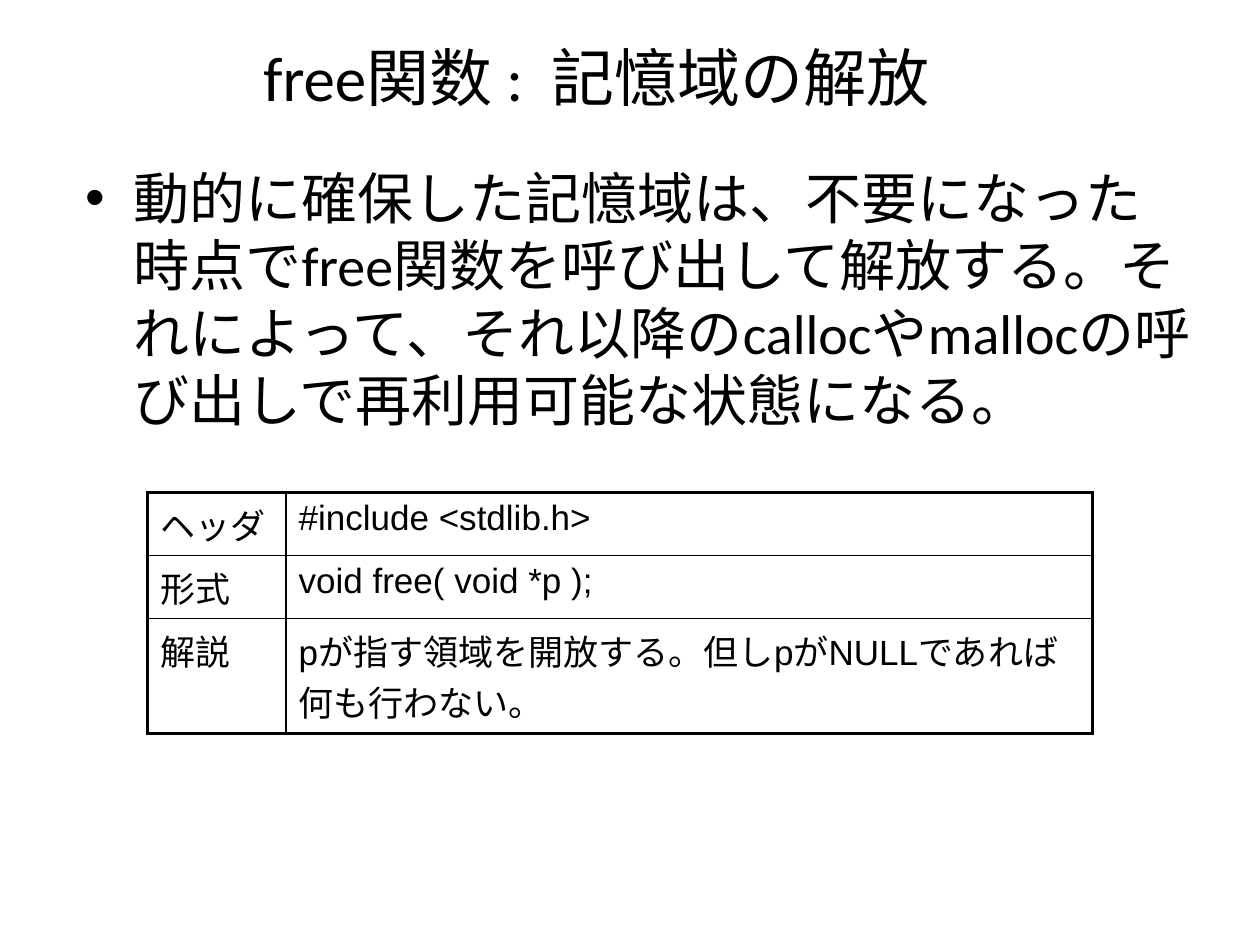
from lxml import etree
from pptx import Presentation
from pptx import util as u
from pptx.dml.color import RGBColor
from pptx.enum import text
from pptx.oxml.ns import qn

COLORS = {"ink": "000000", "paper": "FFFFFF"}
THICK, THIN = 2.25, 1

TITLE = "free関数 :  記憶域の解放"
SUMMARY = ("動的に確保した記憶域は、不要になった時点でfree関数を呼び出して解放する。"
           "それによって、それ以降のcallocやmallocの呼び出しで再利用可能な状態になる。")
REFERENCE = [
    ("ヘッダ", "#include <stdlib.h>"),
    ("形式", "void free( void *p );"),
    ("解説", "pが指す領域を開放する。但しpがNULLであれば何も行わない。"),
]
COLUMN_WIDTHS = (1.1, 6.4)
ROW_HEIGHTS = (0.5, 0.5, 0.91)


def color(key):
    return RGBColor.from_string(COLORS[key])


def style(paragraph, size, face):
    font = paragraph.font
    font.size, font.name = u.Pt(size), face
    font.color.rgb = color("ink")


def add_title(slide):
    title = slide.shapes.title
    title.left, title.top = u.Inches(0.57), u.Inches(0.23)
    title.width, title.height = u.Inches(8.33), u.Inches(0.75)
    frame = title.text_frame
    frame.text = TITLE
    frame.auto_size = text.MSO_AUTO_SIZE.NONE
    frame.vertical_anchor = text.MSO_ANCHOR.MIDDLE
    heading = frame.paragraphs[0]
    heading.alignment = text.PP_ALIGN.CENTER
    style(heading, 36, "Calibri")


def add_bullet(slide):
    box = slide.shapes.add_textbox(
        u.Inches(0.58), u.Inches(1.25), u.Inches(9.03), u.Inches(2.27))
    frame = box.text_frame
    frame.word_wrap = True
    summary = frame.paragraphs[0]
    summary.text = SUMMARY
    # Hanging bullet
    properties = summary._p.get_or_add_pPr()
    indent = u.Inches(0.38)
    properties.set("marL", str(indent))
    properties.set("indent", str(-indent))
    etree.SubElement(properties, qn("a:buFont"), typeface="Arial")
    etree.SubElement(properties, qn("a:buChar"), char="•")
    style(summary, 32, "Calibri")


def set_borders(cell, widths):
    """Draw the left, right, top and bottom edges, widths in points."""
    properties = cell._tc.get_or_add_tcPr()
    for place, (side, width) in enumerate(zip("LRTB", widths)):
        line = etree.Element(qn(f"a:ln{side}"), w=str(u.Pt(width)))
        fill = etree.SubElement(line, qn("a:solidFill"))
        etree.SubElement(fill, qn("a:srgbClr"), val=COLORS["ink"])
        properties.insert(place, line)


def add_reference(slide):
    rows, columns = len(REFERENCE), len(COLUMN_WIDTHS)
    table = slide.shapes.add_table(
        rows, columns, u.Inches(1.17), u.Inches(3.91),
        u.Inches(sum(COLUMN_WIDTHS)), u.Inches(sum(ROW_HEIGHTS))).table
    table.first_row = table.horz_banding = False
    for column, width in zip(table.columns, COLUMN_WIDTHS):
        column.width = u.Inches(width)
    for row, height in zip(table.rows, ROW_HEIGHTS):
        row.height = u.Inches(height)

    for r, entries in enumerate(REFERENCE):
        for c, entry in enumerate(entries):
            cell = table.cell(r, c)
            cell.text = entry
            cell.fill.background()
            style(cell.text_frame.paragraphs[0], 20, "Arial")
            # Thick outer frame, thin inner rules
            outer = (c == 0, c == columns - 1, r == 0, r == rows - 1)
            set_borders(cell, [THICK if edge else THIN for edge in outer])


def main():
    deck = Presentation()
    deck.slide_width, deck.slide_height = u.Inches(10), u.Inches(7.5)
    slide = deck.slides.add_slide(deck.slide_layouts[5])
    background = slide.background.fill
    background.solid()
    background.fore_color.rgb = color("paper")
    add_title(slide)
    add_bullet(slide)
    add_reference(slide)
    deck.save("out.pptx")


if __name__ == "__main__":
    main()
